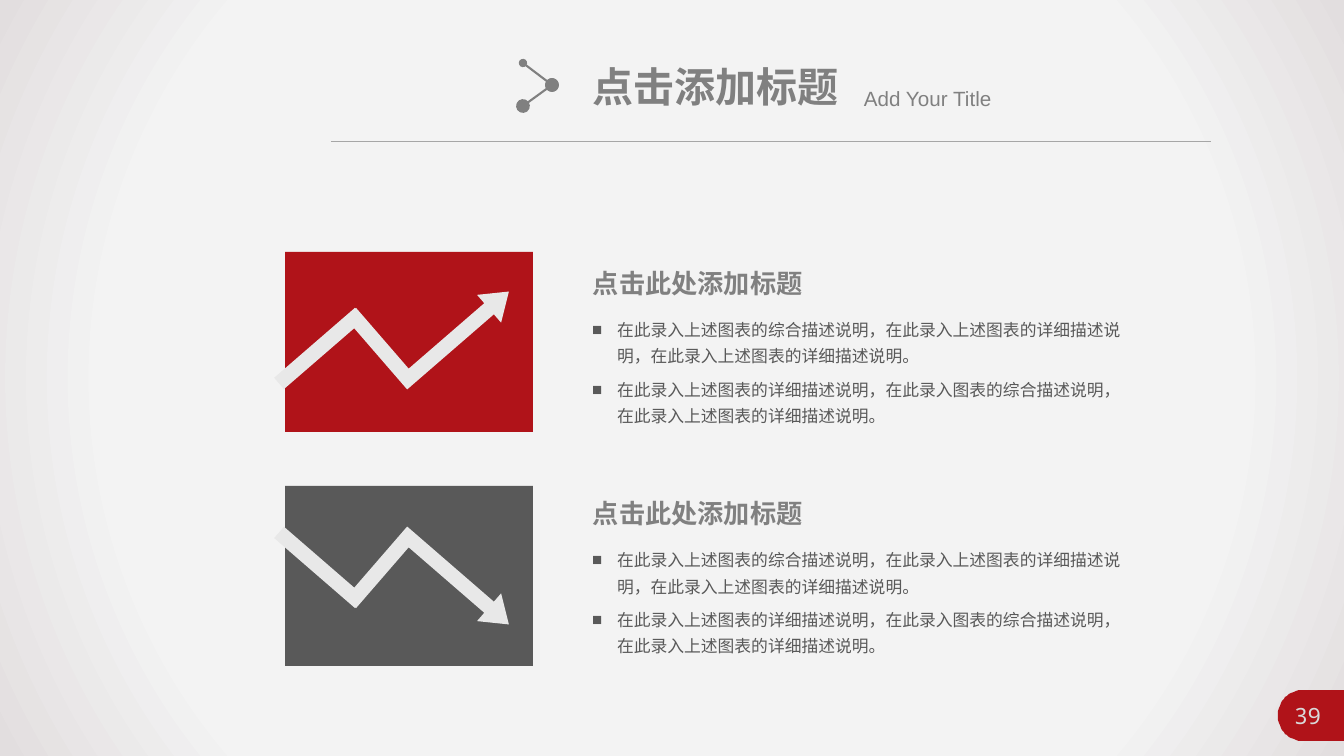
from math import cos, pi, sin
from lxml import etree
from pptx import Presentation
from pptx.dml.color import RGBColor as RGB
from pptx.enum.shapes import MSO_CONNECTOR as LINE, MSO_SHAPE as SHAPE
from pptx.enum.text import MSO_AUTO_SIZE as FIT, PP_ALIGN as ALIGN
from pptx.oxml import parse_xml
from pptx.oxml.ns import nsdecls, qn
from pptx.util import Pt

PX = 914400 / 100.8
COLOR = {"red": "B01319", "dark": "595959", "gray": "808080", "rule": "A6A6A6",
         "arrow": "E8E8E8", "page": "D9D9D9"}
CJK = "Noto Sans CJK SC"
HEAD = "点击此处添加标题"
NOTES = [
    "在此录入上述图表的综合描述说明，在此录入上述图表的详细描述说明，在此录入上述图表的详细描述说明。",
    "在此录入上述图表的详细描述说明，在此录入图表的综合描述说明，在此录入上述图表的详细描述说明。",
]

deck = Presentation()
deck.slide_width, deck.slide_height = round(1344 * PX), round(756 * PX)
slide = deck.slides.add_slide(deck.slide_layouts[6])
shapes = slide.shapes


def block(kind, box, color):
    part = shapes.add_shape(kind, *[round(n * PX) for n in box])
    part.shadow.inherit = False
    part.fill.solid()
    part.fill.fore_color.rgb = RGB.from_string(color)
    part.line.fill.background()
    return part


def write(box, lines, size, face, color, bold=False, wrap=True, side=10, mark=False):
    frame = shapes.add_textbox(*[round(n * PX) for n in box]).text_frame
    frame.word_wrap = wrap
    frame.auto_size = FIT.SHAPE_TO_FIT_TEXT
    frame.margin_left = frame.margin_right = round(side * PX)
    frame.margin_top = frame.margin_bottom = round(5 * PX)
    for i, line in enumerate(lines):
        para = frame.paragraphs[0] if i == 0 else frame.add_paragraph()
        if mark:
            props = para._p.get_or_add_pPr()
            props.set("marL", str(round(25 * PX)))
            props.set("indent", str(round(-25 * PX)))
            etree.SubElement(props, qn("a:buFont")).set("typeface", "Arial")
            etree.SubElement(props, qn("a:buChar")).set("char", "■")
            para.line_spacing = 1.3
            para.space_after = Pt(5.3)
        run = para.add_run()
        run.text = line
        font = run.font
        font.name, font.size, font.bold = face, Pt(size), bold
        font.color.rgb = RGB.from_string(color)
        etree.SubElement(font._element, qn("a:ea")).set("typeface", CJK)
    return frame


# Backdrop with a round gradient
back = block(SHAPE.RECTANGLE, (0, 0, 1344, 756), "F3F3F3")
flat = back._element.spPr.find(qn("a:solidFill"))
stops = "".join(f'<a:gs pos="{pos}000"><a:srgbClr val="{tone}"/></a:gs>'
                for pos, tone in [(0, "F5F5F5"), (73, "F3F3F3"), (100, "E2DEDF")])
flat.getparent().replace(flat, parse_xml(
    f'<a:gradFill {nsdecls("a")} rotWithShape="1"><a:gsLst>{stops}</a:gsLst>'
    '<a:path path="circle"><a:fillToRect l="50000" t="50000" r="50000" b="50000"/>'
    '</a:path></a:gradFill>'))

# Title rule and the joined dots
for ends, tone, width, dots in [
    ((331, 141, 1211, 141), "rule", 0.5, False),
    ((523, 63, 552, 85), "gray", 1.5, True),
    ((552, 85, 523, 106), "gray", 1.5, True),
]:
    link = shapes.add_connector(LINE.STRAIGHT, *[round(n * PX) for n in ends])
    link.line.color.rgb = RGB.from_string(COLOR[tone])
    link.line.width = Pt(width)
    if dots:
        # The top dot is small, the other two are large
        for tag, y in [("a:headEnd", ends[1]), ("a:tailEnd", ends[3])]:
            size = "med" if y == 63 else "lg"
            tip = etree.SubElement(link.line._get_or_add_ln(), qn(tag))
            for key, val in [("type", "oval"), ("w", size), ("len", size)]:
                tip.set(key, val)
    etree.SubElement(link._element.spPr, qn("a:effectLst"))

# Title
write((583, 56, 269, 59), ["点击添加标题"], 29.3, "Arial", COLOR["gray"], True, False)
write((854, 81, 254, 35), ["Add Your Title"], 14.7, "Arial", COLOR["gray"])

# Page tab, round on the left
arc = [(1303.5 - 25.5 * sin(pi * i / 32), 715.5 - 25.5 * cos(pi * i / 32))
       for i in range(33)]
form = shapes.build_freeform(1360, 690, scale=PX)
form.add_line_segments(arc + [(1360, 741)], close=True)
tab = form.convert_to_shape()
tab.shadow.inherit = False
tab.fill.solid()
tab.fill.fore_color.rgb = RGB.from_string(COLOR["red"])
tab.line.fill.background()
page = write((1281, 697, 67, 37), ["39 "], 16, "Noto Sans Mono", COLOR["page"])
page.paragraphs[0].alignment = ALIGN.CENTER

# Rows: panel, heading and notes, trend arrow
for row, (tone, turn, bent, bar) in enumerate([
    ("red", 49.1, 241, 295),
    ("dark", 310.9, 534, 514),
]):
    block(SHAPE.RECTANGLE, (285, 252 + 234 * row, 248, 180), COLOR[tone])
    drop = 230 * row
    write((584, 262 + drop, 230, 41), [HEAD], 18.7, CJK, COLOR["gray"], True, False, 9)
    write((583, 309 + drop, 550, 123), NOTES, 12, CJK, COLOR["dark"], side=9, mark=True)
    for kind, box in [
        (SHAPE.BENT_UP_ARROW, (380, bent, 106, 141)),
        (SHAPE.RECTANGLE, (312, bar, 15, 107)),
    ]:
        part = block(kind, box, COLOR["arrow"])
        part.rotation = turn
        if kind == SHAPE.BENT_UP_ARROW:
            for i, ratio in enumerate([0.139, 0.173, 0.248]):
                part.adjustments[i] = ratio
        if row:
            part._element.spPr.find(qn("a:xfrm")).set("flipV", "1")

deck.save("out.pptx")
